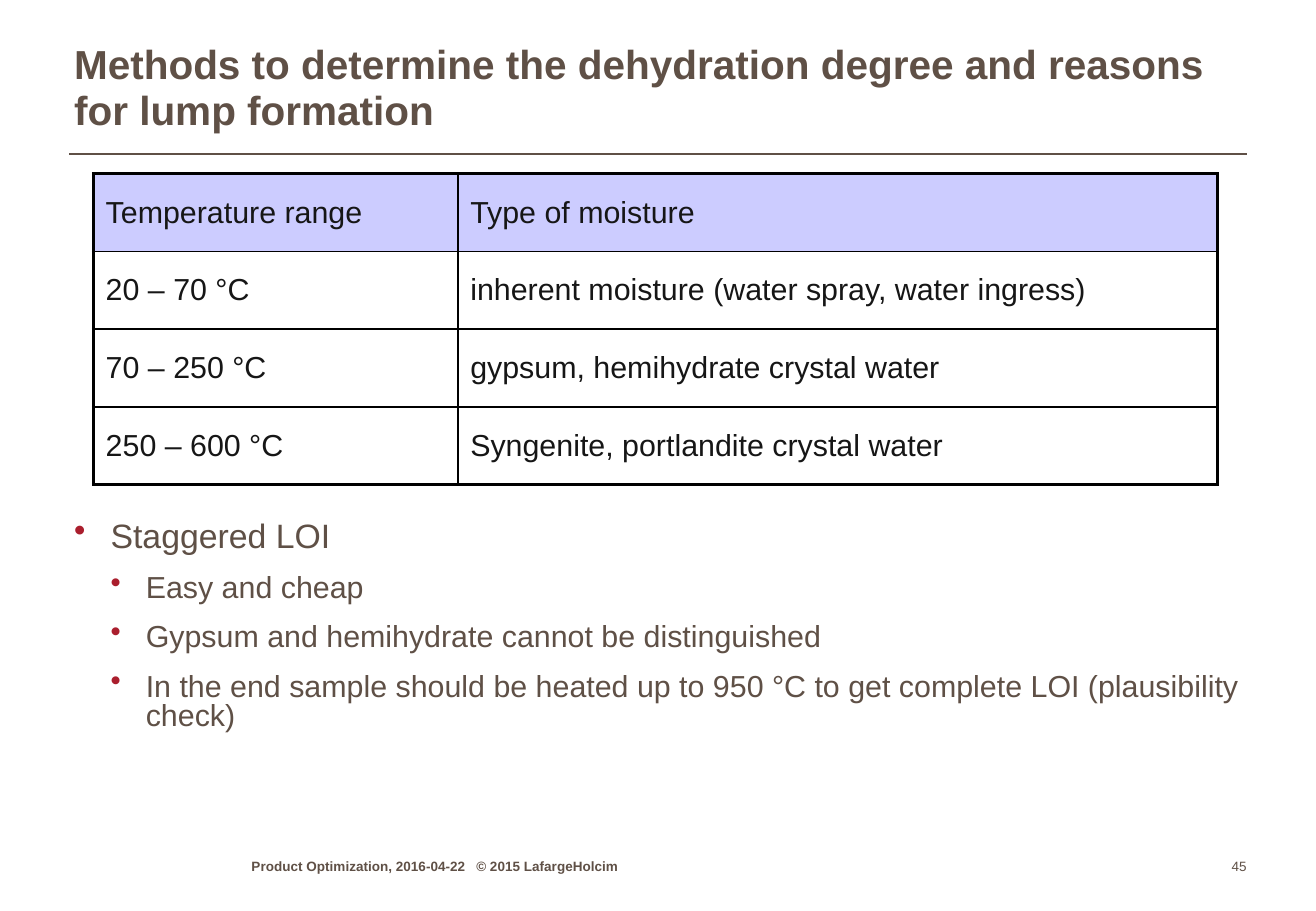
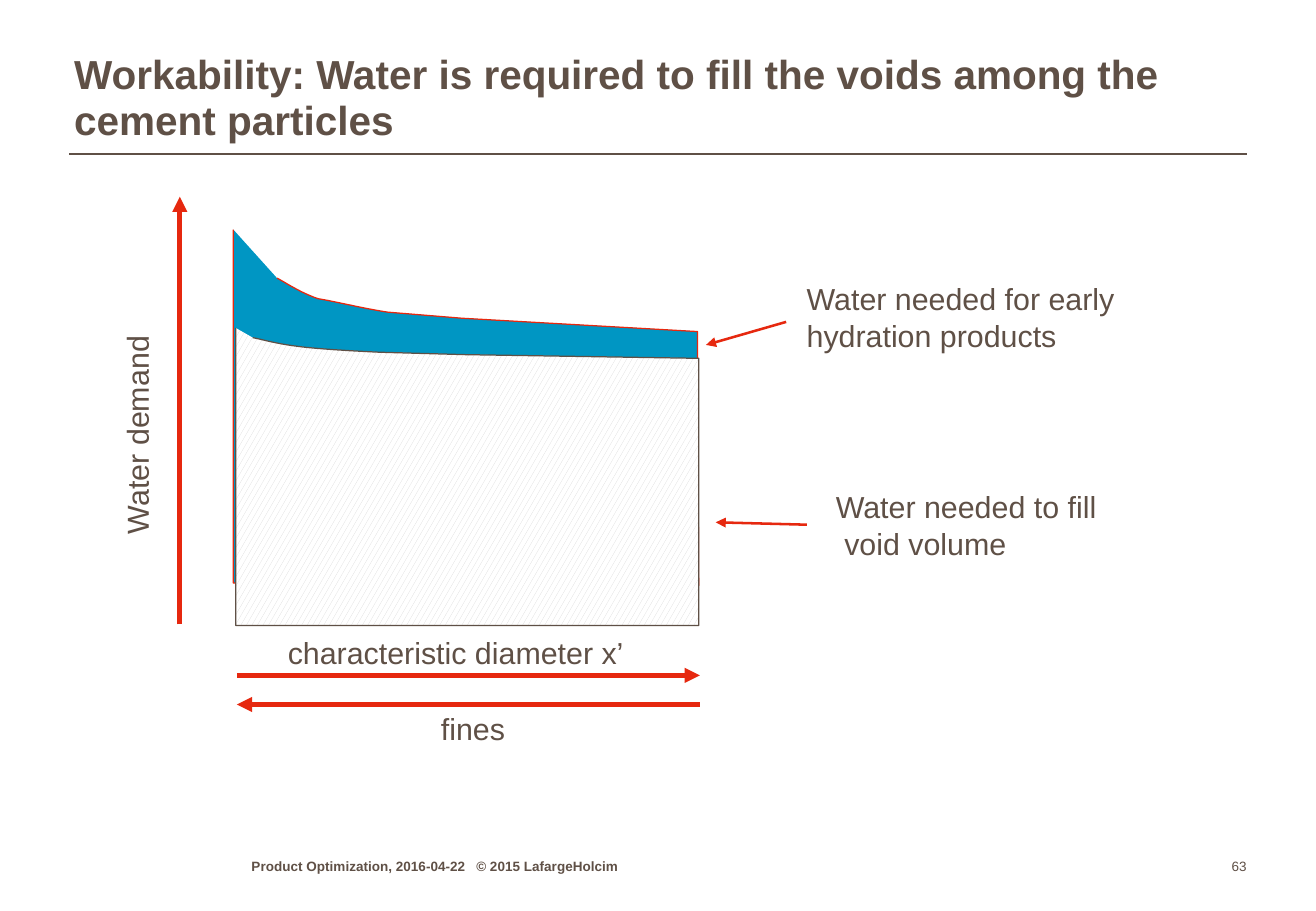
import pptx
import pptx.util
import pptx.dml.color
import pptx.oxml
import pptx.oxml.ns
from pptx.enum.dml import MSO_PATTERN
from pptx.enum.shapes import MSO_CONNECTOR
from pptx.enum.text import MSO_ANCHOR, MSO_AUTO_SIZE, PP_ALIGN

Inches, Pt = pptx.util.Inches, pptx.util.Pt

FONT = "Arial"
BROWN, RED, BULLET = "5F5046", "E6280F", "AA1E2D"
BLACK, INK, WHITE = "000000", "161616", "FFFFFF"
LILAC, BLUE, GREY = "CCCCFF", "0096C3", "D9D9D9"

FOOTER = "Product Optimization, 2016-04-22\t© 2015 LafargeHolcim"

METHODS = "Methods to determine the dehydration degree and reasons for lump formation"
MOISTURE = [
    ("Temperature range", "Type of moisture"),
    ("20 – 70 °C", "inherent moisture (water spray, water ingress)"),
    ("70 – 250 °C", "gypsum, hemihydrate crystal water"),
    ("250 – 600 °C", "Syngenite, portlandite crystal water"),
]
COLS, ROW = (3.0, 6.25), 0.64
BULLETS = [
    (0, "Staggered LOI"),
    (1, "Easy and cheap"),
    (1, "Gypsum and hemihydrate cannot be distinguished"),
    (1, "In the end sample should be heated up to 950 °C to get complete LOI "
        "(plausibility check)"),
]

WORK = "Workability: Water is required to fill the voids among the cement particles"
# Outlines: a start point, then pairs for lines and sextets for Bézier curves
EARLY = [
    (2.28, 2.29), (2.34, 2.32, 2.47, 2.41, 2.62, 2.46),
    (2.75, 2.48, 2.99, 2.54, 3.19, 2.57), (3.8, 2.62), (5.74, 2.73),
    (5.75, 4.82), (1.92, 4.8), (1.92, 1.89),
]
VOIDS = [
    (2.08, 2.78), (2.14, 2.79, 2.27, 2.83, 2.44, 2.85),
    (2.57, 2.87, 2.9, 2.89, 3.13, 2.9), (3.83, 2.92), (5.75, 2.95),
    (5.75, 5.15), (1.94, 5.15), (1.94, 2.7),
]
ARROWS = [  # from, to, width
    ((1.95, 5.56), (5.76, 5.56), 3),
    ((5.76, 5.8), (1.95, 5.8), 3),
    ((1.48, 5.14), (1.48, 1.62), 3),
    ((6.47, 2.65), (5.81, 2.84), 1.5),
    ((6.64, 4.32), (5.89, 4.3), 1.5),
]
LABELS = [  # box, lines, indent of the last line, rotation
    ((2.27, 5.17, 2.97, 0.4), ["characteristic diameter x’"], 0, 0),
    ((3.53, 5.8, 0.73, 0.4), ["fines"], 0, 0),
    ((6.54, 2.26, 2.76, 0.71), ["Water needed for early", "hydration products"], 0, 0),
    ((6.78, 3.97, 2.37, 0.71), ["Water needed to fill", "void volume"], 0.07, 0),
    ((0.2, 3.37, 1.85, 0.4), ["Water demand"], 0, 270),
]


def rgb(code):
    return pptx.dml.color.RGBColor.from_string(code)


def add_xml(parent, body):
    """Append one DrawingML element, written without its namespace."""
    ns = pptx.oxml.ns.nsdecls("a")
    head, mark, rest = body.partition(" ")
    parent.append(pptx.oxml.parse_xml(f"{head} {ns}{mark}{rest}"))


def add_run(para, text, size, color=BROWN, bold=False):
    run = para.add_run()
    run.text = text
    font = run.font
    font.name, font.size, font.bold = FONT, Pt(size), bold
    font.color.rgb = rgb(color)


def add_box(slide, at, anchor=MSO_ANCHOR.TOP, wrap=True, inset=0):
    box = slide.shapes.add_textbox(*map(Inches, at))
    frame = box.text_frame
    frame.word_wrap, frame.vertical_anchor = wrap, anchor
    if inset is not None:
        frame.margin_left = frame.margin_right = Inches(inset)
        frame.margin_top = frame.margin_bottom = Inches(inset)
    return box


def add_line(slide, start, end, color, width, arrow=False):
    line = slide.shapes.add_connector(
        MSO_CONNECTOR.STRAIGHT, *map(Inches, start + end))
    line.line.color.rgb, line.line.width = rgb(color), Pt(width)
    if arrow:
        add_xml(line.line._get_or_add_ln(), '<a:tailEnd type="triangle"/>')
    add_xml(line._element.spPr, "<a:effectLst />")


def add_page(deck, title, top, number):
    """Add a slide with title, rule, footer and page number."""
    slide = deck.slides.add_slide(deck.slide_layouts[6])
    add_line(slide, (0.57, 1.27), (10.26, 1.27), BROWN, 1)

    frame = add_box(slide, (0.61, top, 9.6, 0.87), MSO_ANCHOR.BOTTOM).text_frame
    frame.margin_bottom = Inches(0.01)
    para = frame.paragraphs[0]
    para.line_spacing = 0.95
    add_run(para, title, 24, bold=True)

    foot = add_box(slide, (2.07, 7.02, 3.47, 0.18), MSO_ANCHOR.BOTTOM)
    para = foot.text_frame.paragraphs[0]
    add_xml(para._p.get_or_add_pPr(),
            f'<a:tabLst ><a:tab pos="{Inches(1.85)}" algn="l"/></a:tabLst>')
    add_run(para, FOOTER, 8, bold=True)

    page = add_box(slide, (9.79, 7.02, 0.47, 0.18), MSO_ANCHOR.BOTTOM, False)
    para = page.text_frame.paragraphs[0]
    para.alignment = PP_ALIGN.RIGHT
    add_run(para, str(number), 8)
    return slide


def add_table(slide, rows, left, top):
    count, width = len(rows), len(COLS)
    table = slide.shapes.add_table(
        count, width, Inches(left), Inches(top),
        Inches(sum(COLS)), Inches(ROW * count)).table
    table.first_row = table.horz_banding = False
    for col, size in zip(table.columns, COLS):
        col.width = Inches(size)
    for i, row in enumerate(rows):
        table.rows[i].height = Inches(ROW)
        for j, text in enumerate(row):
            cell = table.cell(i, j)
            outer = {"L": j == 0, "R": j == width - 1,
                     "T": i == 0, "B": i == count - 1}
            for side, edge in outer.items():
                add_xml(cell._tc.get_or_add_tcPr(),
                        f'<a:ln{side} w="{Pt(2.25 if edge else 1)}"><a:solidFill>'
                        f'<a:srgbClr val="{BLACK}"/></a:solidFill></a:ln{side}>')
            cell.fill.solid()
            cell.fill.fore_color.rgb = rgb(WHITE if i else LILAC)
            cell.vertical_anchor = MSO_ANCHOR.MIDDLE
            add_run(cell.text_frame.paragraphs[0], text, 18, INK)


def add_bullets(slide, items, at):
    frame = add_box(slide, at).text_frame
    for i, (level, text) in enumerate(items):
        para = frame.add_paragraph() if i else frame.paragraphs[0]
        props = para._p.get_or_add_pPr()
        props.set("marL", str(Inches(0.3 + 0.29 * level)))
        props.set("indent", str(-Inches(0.29 if level else 0.3)))
        add_xml(props, f'<a:buClr ><a:srgbClr val="{BULLET}"/></a:buClr>')
        add_xml(props, '<a:buChar char="•"/>')
        para.level, para.line_spacing = level, 0.8
        if i:
            para.space_before = Pt(12)
        add_run(para, text, 18 if level else 20)


def trace(outline, steps=12):
    """Turn an outline into points, sampling each curve."""
    points = [outline[0]]
    for part in outline[1:]:
        if len(part) == 2:
            points.append(part)
            continue
        ctrl = [points[-1], part[:2], part[2:4], part[4:]]
        for n in range(1, steps + 1):
            t = n / steps
            u = 1 - t
            mix = (u ** 3, 3 * u * u * t, 3 * u * t * t, t ** 3)
            points.append(tuple(sum(m * c[k] for m, c in zip(mix, ctrl))
                                for k in (0, 1)))
    return points


def add_area(slide, outline, color):
    start, *rest = [tuple(map(Inches, point)) for point in trace(outline)]
    form = slide.shapes.build_freeform(*start)
    form.add_line_segments(rest, close=False)
    area = form.convert_to_shape()
    area.shadow.inherit = False
    area.line.color.rgb, area.line.width = rgb(color), Pt(0.75)
    return area


def add_label(slide, at, lines, indent, turn):
    box = add_box(slide, at, wrap=False, inset=None)
    box.rotation = turn
    frame = box.text_frame
    frame.auto_size = MSO_AUTO_SIZE.SHAPE_TO_FIT_TEXT
    for i, text in enumerate(lines):
        para = frame.add_paragraph() if i else frame.paragraphs[0]
        add_run(para, text, 18)
    if indent:
        para._p.get_or_add_pPr().set("marL", str(Inches(indent)))


def main():
    deck = pptx.Presentation()
    deck.slide_width, deck.slide_height = Inches(10.83), Inches(7.5)

    slide = add_page(deck, METHODS, 0.25, 45)
    add_table(slide, MOISTURE, 0.77, 1.43)
    add_bullets(slide, BULLETS, (0.61, 4.3, 9.61, 2.02))

    slide = add_page(deck, WORK, 0.33, 63)
    early = add_area(slide, EARLY, RED)
    early.fill.solid()
    early.fill.fore_color.rgb = rgb(BLUE)
    voids = add_area(slide, VOIDS, BROWN)
    voids.fill.patterned()
    voids.fill.pattern = MSO_PATTERN.LARGE_CONFETTI
    voids.fill.fore_color.rgb = rgb(GREY)
    voids.fill.back_color.rgb = rgb(WHITE)
    for start, end, width in ARROWS:
        add_line(slide, start, end, RED, width, arrow=True)
    for label in LABELS:
        add_label(slide, *label)

    deck.save("out.pptx")


if __name__ == "__main__":
    main()
